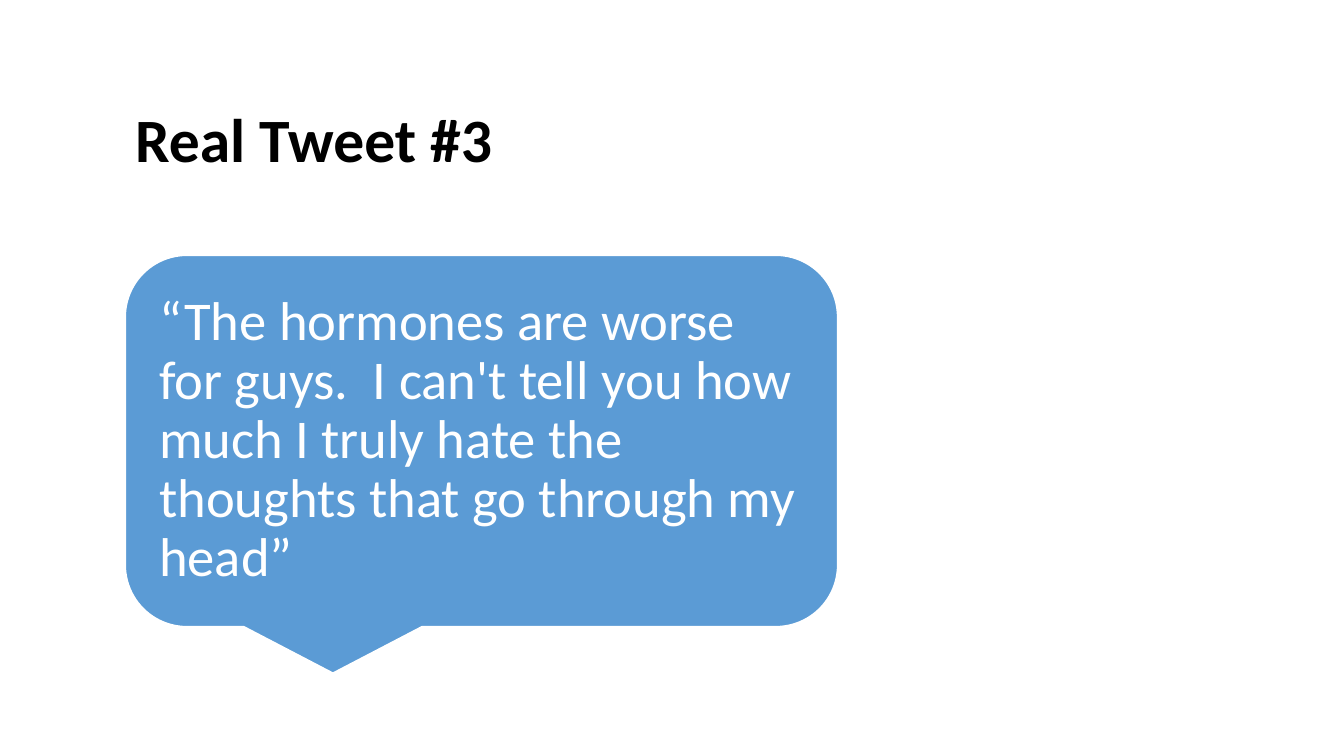
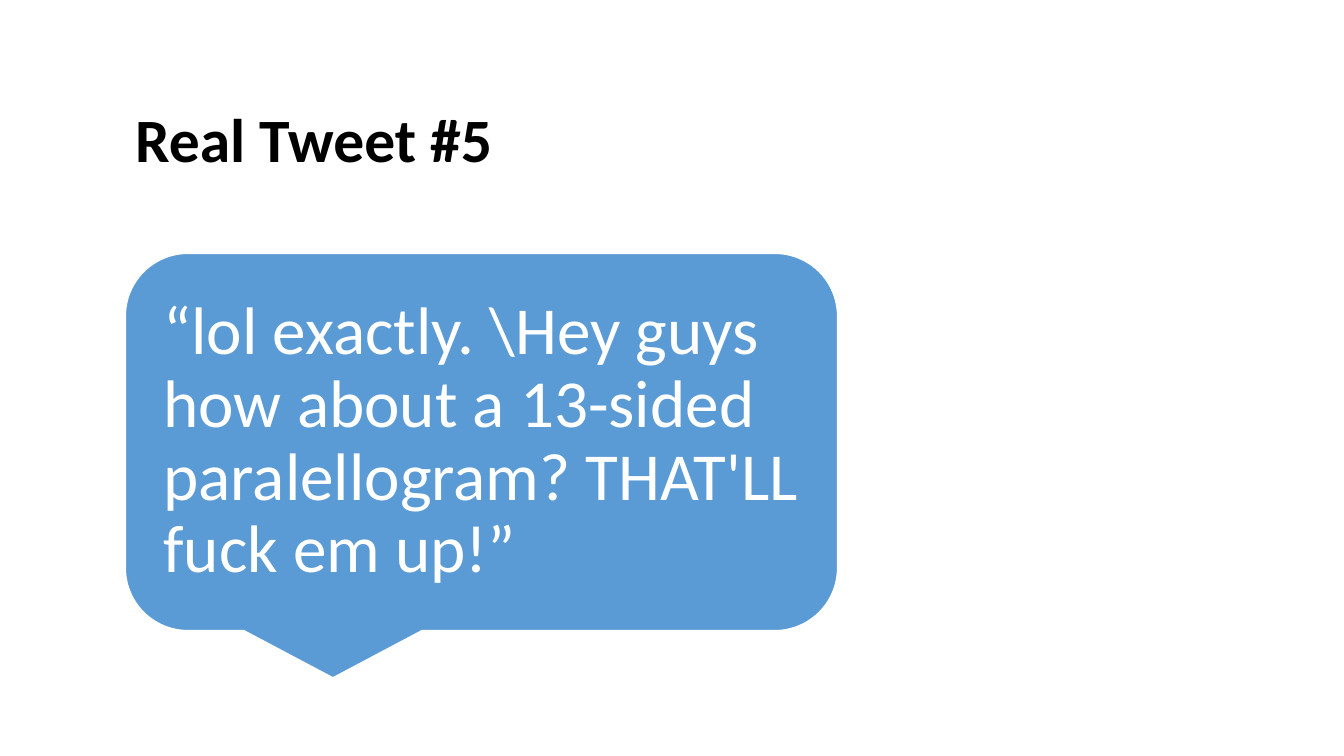
from pptx import Presentation
from pptx.dml.color import RGBColor
from pptx.enum.shapes import MSO_SHAPE
from pptx.enum.text import MSO_ANCHOR, MSO_AUTO_SIZE, PP_ALIGN
from pptx.util import Emu, Pt

BLACK = RGBColor(0x00, 0x00, 0x00)
WHITE = RGBColor(0xFF, 0xFF, 0xFF)
BLUE = RGBColor(0x5B, 0x9B, 0xD5)
FONT = "Calibri"
LEFT = 125


def px(length):
    return Emu(round(length * 914400 / 100.8))


def write_text(shape, text, size, color, bold=False, inset=None):
    frame = shape.text_frame
    frame.word_wrap = True
    frame.auto_size = MSO_AUTO_SIZE.NONE
    frame.vertical_anchor = MSO_ANCHOR.MIDDLE
    if inset is not None:
        frame.margin_left = frame.margin_right = px(inset)
        frame.margin_top = frame.margin_bottom = px(inset)
    paragraph = frame.paragraphs[0]
    paragraph.alignment = PP_ALIGN.LEFT
    paragraph.line_spacing = 0.9
    run = paragraph.add_run()
    run.text = text
    run.font.name = FONT
    run.font.size = Pt(size)
    run.font.bold = bold
    run.font.color.rgb = color


tweets = [
    dict(
        title="Real Tweet #3",
        quote="“The hormones are worse for guys.  I can't tell you how much I truly hate the thoughts that go through my head”",
        size=39, inset=16, top=255, height=372,
    ),
    dict(
        title="Real Tweet #5",
        quote="“lol exactly. \\Hey guys  how about a 13-sided paralellogram? THAT'LL fuck em up!”",
        size=48, inset=20, top=253, height=378,
    ),
]

presentation = Presentation()
presentation.slide_width = px(1344)
presentation.slide_height = px(756)
title_only = presentation.slide_layouts.get_by_name("Title Only")

for tweet in tweets:
    slide = presentation.slides.add_slide(title_only)

    title = slide.shapes.title
    title.left, title.top, title.width, title.height = px(LEFT), px(70), px(824), px(146)
    write_text(title, tweet["title"], size=44, color=BLACK, bold=True)

    bubble = slide.shapes.add_shape(
        MSO_SHAPE.ROUNDED_RECTANGULAR_CALLOUT,
        px(LEFT), px(tweet["top"]), px(713), px(tweet["height"]),
    )
    bubble.shadow.inherit = False
    bubble.fill.solid()
    bubble.fill.fore_color.rgb = BLUE
    bubble.line.color.rgb = WHITE
    bubble.line.width = Pt(1.5)
    write_text(bubble, tweet["quote"], size=tweet["size"], color=WHITE, inset=tweet["inset"])

presentation.save("out.pptx")
